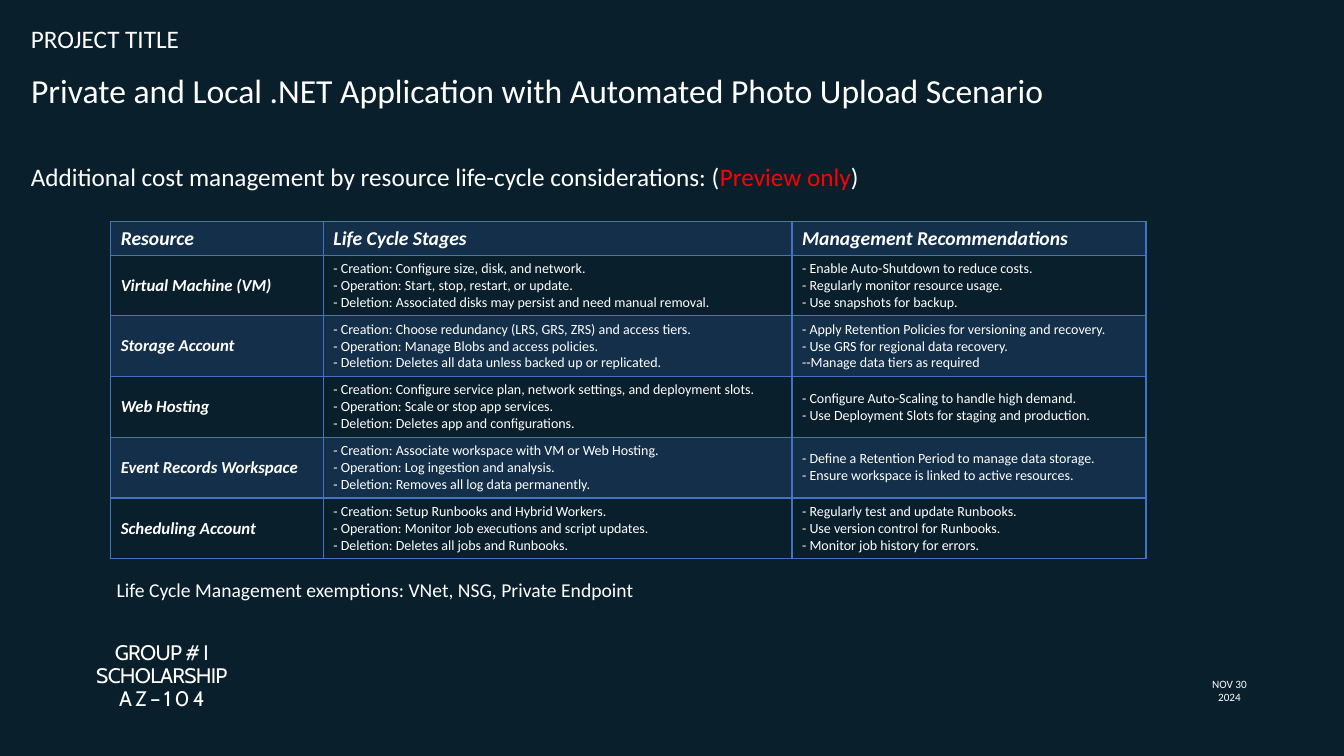
from lxml.etree import SubElement
from pptx import Presentation
from pptx.dml.color import RGBColor
from pptx.enum.text import MSO_ANCHOR, PP_ALIGN
from pptx.oxml.ns import qn
from pptx.util import Cm, Pt

HUES = {"back": "091F2C", "text": "FFFFFF", "alert": "FF0000", "grid": "4472C4"}
HEAD = ["Resource", "Life Cycle Stages", "Management Recommendations"]
ROWS = [
    ("Virtual Machine (VM)",
     ["- Creation: Configure size, disk, and network.",
      "- Operation: Start, stop, restart, or update.",
      "- Deletion: Associated disks may persist and need manual removal."],
     ["- Enable Auto-Shutdown to reduce costs.",
      "- Regularly monitor resource usage.",
      "- Use snapshots for backup."]),
    ("Storage Account",
     ["- Creation: Choose redundancy (LRS, GRS, ZRS) and access tiers.",
      "- Operation: Manage Blobs and access policies.",
      "- Deletion: Deletes all data unless backed up or replicated."],
     ["- Apply Retention Policies for versioning and recovery.",
      "- Use GRS for regional data recovery.",
      "--Manage data tiers as required"]),
    ("Web Hosting",
     ["- Creation: Configure service plan, network settings, and deployment slots.",
      "- Operation: Scale or stop app services.",
      "- Deletion: Deletes app and configurations."],
     ["- Configure Auto-Scaling to handle high demand.",
      "- Use Deployment Slots for staging and production."]),
    ("Event Records Workspace",
     ["- Creation: Associate workspace with VM or Web Hosting.",
      "- Operation: Log ingestion and analysis.",
      "- Deletion: Removes all log data permanently."],
     ["- Define a Retention Period to manage data storage.",
      "- Ensure workspace is linked to active resources."]),
    ("Scheduling Account",
     ["- Creation: Setup Runbooks and Hybrid Workers.",
      "- Operation: Monitor Job executions and script updates.",
      "- Deletion: Deletes all jobs and Runbooks."],
     ["- Regularly test and update Runbooks.",
      "- Use version control for Runbooks.",
      "- Monitor job history for errors."]),
]


def color(name):
    return RGBColor.from_string(HUES[name])


def add_run(para, text, size, hue="text", face="Calibri", strong=False):
    run = para.add_run()
    run.text = text
    font = run.font
    font.name, font.size = face, Pt(size)
    font.bold = font.italic = strong
    font.color.rgb = color(hue)
    return run


def add_lines(para, lines, size, **style):
    """Write lines into one paragraph, parted by line breaks."""
    runs = []
    for i, line in enumerate(lines):
        if i:
            para.add_line_break()
        runs.append(add_run(para, line, size, **style))
    return runs


def add_box(slide, box, wrap=True):
    frame = slide.shapes.add_textbox(*map(Cm, box)).text_frame
    frame.word_wrap = wrap
    return frame


def add_header(slide, box):
    left, top, width = box
    label = add_box(slide, (left, top, 4.27, 1.02), False)
    add_run(label.paragraphs[0], "PROJECT TITLE", 18)

    title = slide.shapes.title
    title.left, title.top = Cm(left), Cm(top + 1.17)
    title.width, title.height = Cm(width), Cm(1.27)
    title.text_frame.vertical_anchor = MSO_ANCHOR.TOP
    para = title.text_frame.paragraphs[0]
    para.alignment = PP_ALIGN.LEFT
    add_run(para, "Private and Local .NET Application with Automated Photo Upload Scenario", 24)

    para = add_box(slide, (left, top + 3.48, 21.56, 1.02), False).paragraphs[0]
    add_run(para, "Additional cost management by resource life-cycle considerations: (", 18)
    add_run(para, "Preview only", 18, "alert")
    add_run(para, ")", 18)


def style_cell(cell, shaded):
    """Draw the borders, then the fill, of a cell."""
    cell.vertical_anchor = MSO_ANCHOR.MIDDLE
    cell.margin_top = cell.margin_bottom = Cm(0.1)
    props = cell._tc.get_or_add_tcPr()
    for side in ("a:lnL", "a:lnR", "a:lnT", "a:lnB"):
        line = SubElement(props, qn(side), w=str(Pt(1)))
        fill = SubElement(line, qn("a:solidFill"))
        SubElement(fill, qn("a:srgbClr"), val=HUES["grid"])
    if shaded:
        cell.fill.solid()
        cell.fill.fore_color.rgb = color("grid")
        tint = props.find(qn("a:solidFill"))[0]
        SubElement(tint, qn("a:alpha"), val="20000")
    else:
        cell.fill.background()


def add_grid(slide, box):
    data = [[[name] for name in HEAD]]
    data += [([name], stages, tips) for name, stages, tips in ROWS]
    table = slide.shapes.add_table(len(data), len(HEAD), *map(Cm, box)).table
    table.first_row = table.horz_banding = False
    for col, width in zip(table.columns, (5.36, 11.81, 8.92)):
        col.width = Cm(width)
    for r, row in enumerate(data):
        table.rows[r].height = Cm(1.53 if r else 0.84)
        for c, lines in enumerate(row):
            cell = table.cell(r, c)
            style_cell(cell, r % 2 == 0)
            size = 14 if r == 0 else 12 if c == 0 else 10
            add_lines(cell.text_frame.paragraphs[0], lines, size, strong=r == 0 or c == 0)


def add_note(slide, box):
    para = add_box(slide, box).paragraphs[0]
    add_run(para, "Life Cycle Management exemptions: VNet, NSG, Private Endpoint", 14)


def add_group(slide, box):
    frame = add_box(slide, box)
    frame.vertical_anchor = MSO_ANCHOR.BOTTOM
    frame.margin_left = frame.margin_right = frame.margin_top = frame.margin_bottom = 0
    para = frame.paragraphs[0]
    para.alignment, para.line_spacing = PP_ALIGN.CENTER, 0.9
    lines = ["GROUP # I", "SCHOLARSHIP", "A Z – 1 0 4"]
    for run in add_lines(para, lines, 15, face="Cabin"):
        run.font._element.set("spc", "-50")


def add_date(slide, box):
    frame = add_box(slide, box)
    for para, text in ((frame.paragraphs[0], "NOV 30"), (frame.add_paragraph(), "2024")):
        para.alignment = PP_ALIGN.CENTER
        add_run(para, text, 8)


def main():
    deck = Presentation()
    deck.slide_width, deck.slide_height = Cm(33.87), Cm(19.05)
    slide = deck.slides.add_slide(deck.slide_layouts[5])
    slide.background.fill.solid()
    slide.background.fill.fore_color.rgb = color("back")
    add_header(slide, (0.53, 0.46, 30.45))
    add_group(slide, (0.79, 16.18, 6.58, 1.73))
    add_date(slide, (30.2, 16.94, 1.57, 0.94))
    add_grid(slide, (2.79, 5.59, 26.09, 8.49))
    add_note(slide, (2.69, 14.43, 27.51, 0.86))
    deck.save("out.pptx")


if __name__ == "__main__":
    main()
